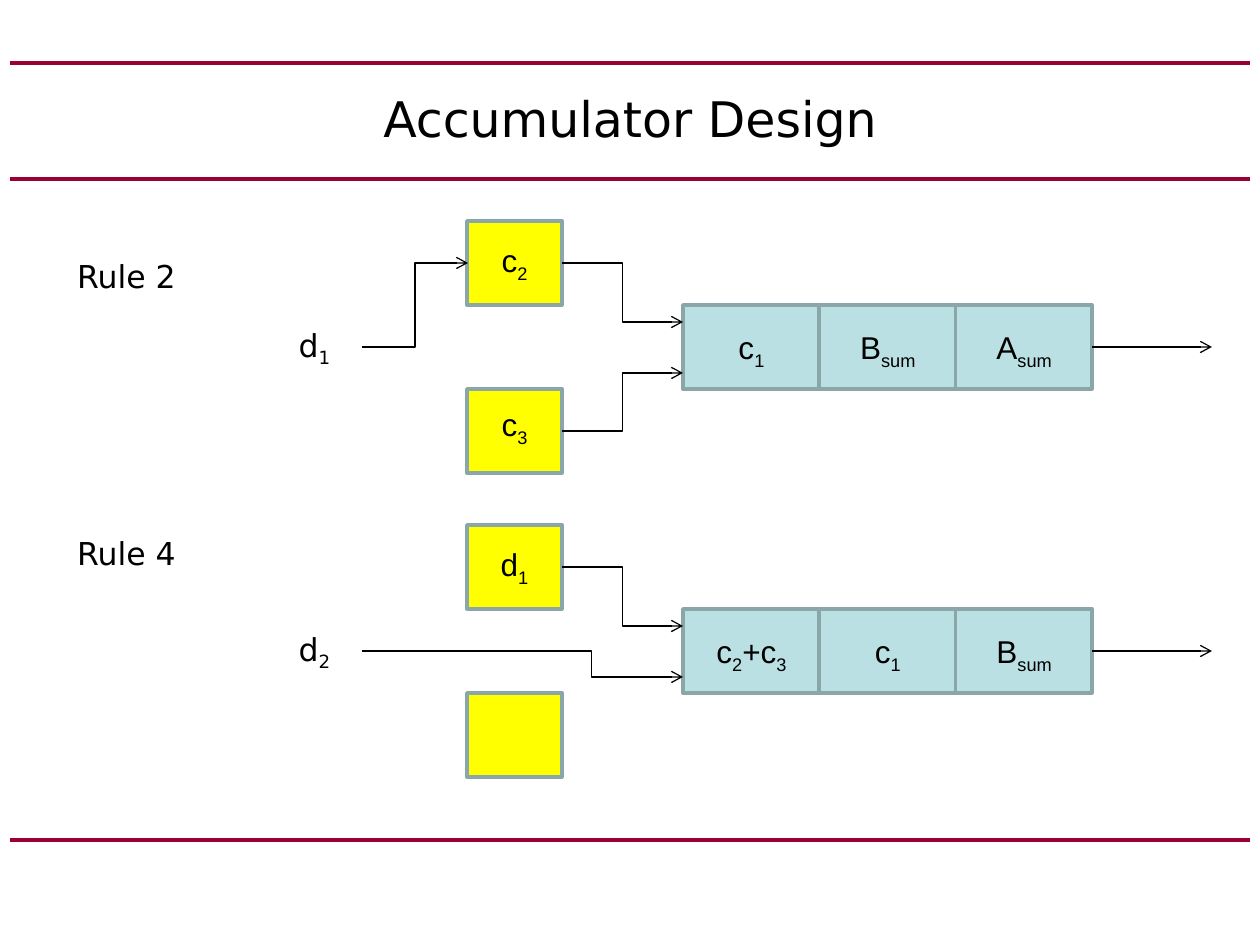
from lxml.etree import SubElement
from pptx import Presentation
from pptx.dml.color import RGBColor as RGB
from pptx.enum.shapes import MSO_CONNECTOR as Conn, MSO_SHAPE as Shape
from pptx.enum.text import MSO_ANCHOR as Anchor, MSO_AUTO_SIZE as Fit, PP_ALIGN as Align
from pptx.oxml.ns import qn
from pptx.util import Emu, Pt

SCALE = 914400 // 126
COLORS = {
    "rule": "990033",
    "ink": "000000",
    "cell": "BBE0E3",
    "store": "FFFF00",
    "edge": "8AA6A8",
}
SANS, ARIAL = "DejaVu Sans", "Arial"
SIDE, HALF = 84, 42
STORE_X, STORE_W = 467, 95
CELL_X, CELL_END = 683, 1092
INPUT_X, INPUT_W = 267, 95


def px(*nums):
    return [Emu(round(n * SCALE)) for n in nums]


def color(name):
    return RGB.from_string(COLORS[name])


def style(font, face, size):
    font.name = face
    font.size = Pt(size)
    font.color.rgb = color("ink")


def add_title(slide, text):
    title = slide.shapes.title
    title.left, title.top, title.width, title.height = px(63, 63, 1134, 110)
    frame = title.text_frame
    frame.text = text
    frame.vertical_anchor = Anchor.MIDDLE
    para = frame.paragraphs[0]
    para.alignment = Align.CENTER
    style(para.runs[0].font, SANS, 28)


def add_label(slide, text, box, face=SANS, anchor=Anchor.MIDDLE, fit=Fit.NONE):
    frame = slide.shapes.add_textbox(*px(*box)).text_frame
    frame.word_wrap = True
    frame.auto_size = fit
    frame.vertical_anchor = anchor
    para = frame.paragraphs[0]
    para.alignment = Align.CENTER
    for i, part in enumerate(text.split("_")):
        run = para.add_run()
        run.text = part
        style(run.font, face, 18)
        if i % 2:
            run._r.get_or_add_rPr().set("baseline", "-25000")


def add_box(slide, x, y, width, fill):
    box = slide.shapes.add_shape(Shape.RECTANGLE, *px(x, y, width, SIDE))
    box.shadow.inherit = False
    box.fill.solid()
    box.fill.fore_color.rgb = color(fill)
    box.line.color.rgb = color("edge")
    box.line.width = Pt(2)


def add_line(slide, start, end, kind=Conn.STRAIGHT, tint="ink", width=0.75):
    line = slide.shapes.add_connector(kind, *px(*start, *end))
    line.line.color.rgb = color(tint)
    line.line.width = Pt(width)
    SubElement(line._element.spPr, qn("a:effectLst"))
    return line


def add_arrow(slide, start, end, bend=None):
    kind = Conn.STRAIGHT if start[1] == end[1] else Conn.ELBOW
    line = add_line(slide, start, end, kind)
    SubElement(line.line._get_or_add_ln(), qn("a:tailEnd"), type="arrow")
    if bend:
        guides = line._element.spPr.find(qn("a:prstGeom")).get_or_add_avLst()
        SubElement(guides, qn("a:gd"), name="adj1", fmla=f"val {bend}")


def add_cells(slide, top, names):
    step = (CELL_END - CELL_X) / len(names)
    for i, name in enumerate(names):
        x = CELL_X + i * step
        add_box(slide, x, top, step, "cell")
    for i, name in enumerate(names):
        box = (CELL_X - 5 + i * step, top + 17, 147, 50)
        add_label(slide, name, box, ARIAL, Anchor.TOP, Fit.SHAPE_TO_FIT_TEXT)
    add_arrow(slide, (CELL_END, top + HALF), (1212, top + HALF))


def add_store(slide, top, name="", drop=17):
    add_box(slide, STORE_X, top, STORE_W, "store")
    if name:
        box = (STORE_X - 26, top + drop, 147, 50)
        add_label(slide, name, box, ARIAL, fit=Fit.SHAPE_TO_FIT_TEXT)


def add_stage(slide, top, feed, upper, lower, cells):
    add_cells(slide, top, cells)
    add_store(slide, top - SIDE, upper)
    add_store(slide, top + SIDE, lower, 13)
    add_label(slide, feed, (INPUT_X, top, INPUT_W, SIDE))
    add_arrow(slide, (STORE_X + STORE_W, top - HALF), (CELL_X, top + 17))


def main():
    deck = Presentation()
    deck.slide_width, deck.slide_height = px(1260, 945)
    slide = deck.slides.add_slide(deck.slide_layouts[5])
    for y in (840, 179, 63):
        add_line(slide, (10, y), (1250, y), tint="rule", width=2.25)
    add_title(slide, "Accumulator Design")

    first, second = 305, 609
    start = INPUT_X + INPUT_W
    add_stage(slide, first, "d_1", "c_2", "c_3", ["c_1", "B_sum", "A_sum"])
    add_arrow(slide, (STORE_X + STORE_W, first + 126), (CELL_X, first + 68))
    add_arrow(slide, (start, first + HALF), (STORE_X + 1, first - HALF))

    add_stage(slide, second, "d_2", "d_1", "", ["c_2_+c_3", "c_1", "B_sum"])
    add_arrow(slide, (start, second + HALF), (CELL_X, second + 68), 71500)

    for text, y in (("Rule 2", 242), ("Rule 4", 519)):
        add_label(slide, text, (42, y, 169, 68))
    deck.save("out.pptx")


if __name__ == "__main__":
    main()
